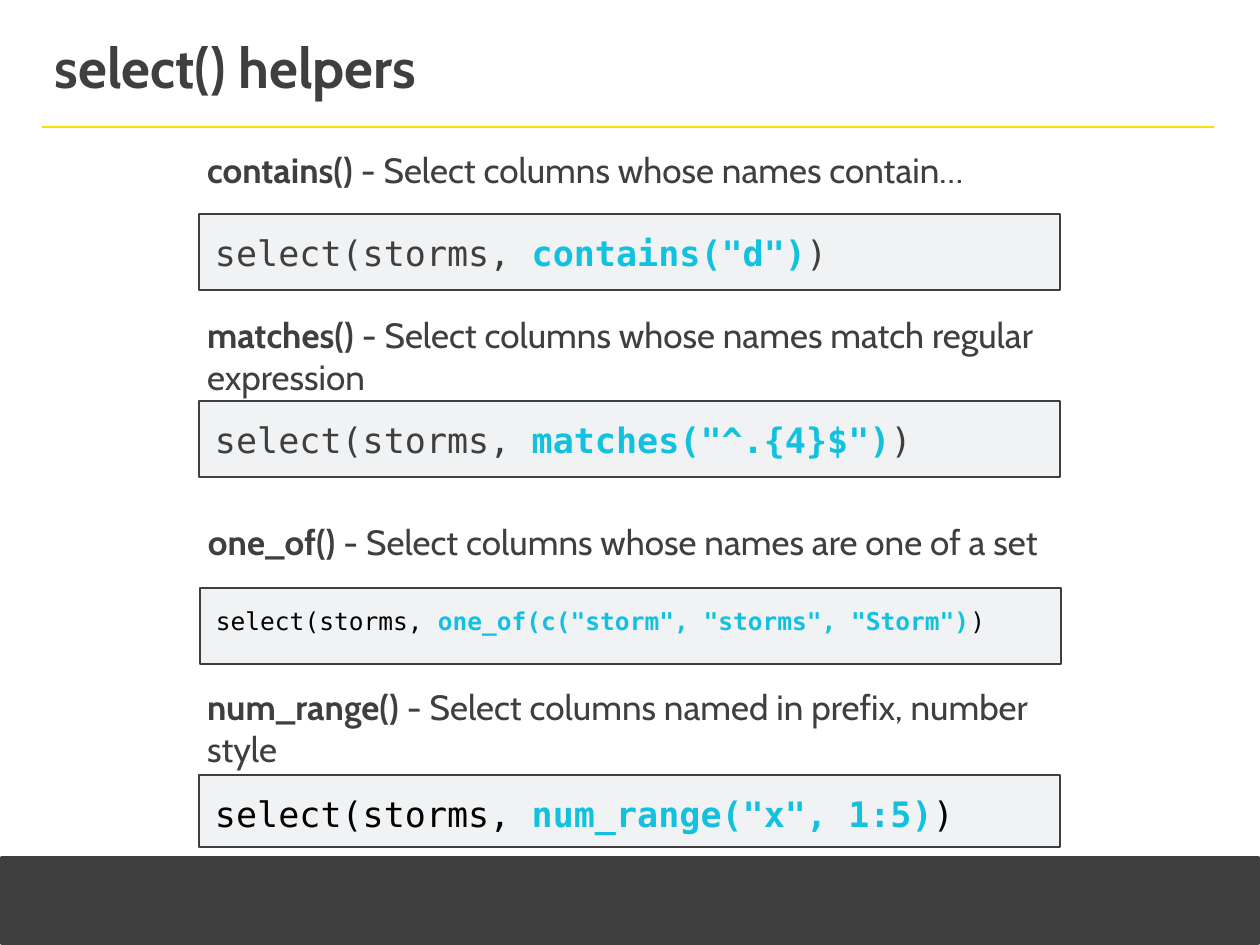
import dataclasses

import lxml.etree
import pptx
import pptx.dml.color
import pptx.enum.shapes
import pptx.enum.text
import pptx.oxml.ns
import pptx.util

RGB = pptx.dml.color.RGBColor
ANCHOR = pptx.enum.text.MSO_ANCHOR

DARK = RGB(0x3F, 0x3F, 0x3F)
PALE = RGB(0xF0, 0xF2, 0xF4)
CYAN = RGB(0x12, 0xC1, 0xDF)
GOLD = RGB(0xFF, 0xDD, 0x00)
WHITE = RGB(0xFF, 0xFF, 0xFF)
BLACK = RGB(0x00, 0x00, 0x00)

SANS, MONO = "Cabin", "DejaVu Sans Mono"
SCALE = 914400 / 126  # EMU in one px
INSET = 8
LEFT, WIDTH = 199, 861
TEXT_TOP, TEXT_STEP = 121, 186
BAR_TOP, BAR_STEP = 214, 187


@dataclasses.dataclass
class Run:
    text: str
    font: str
    size: int
    ink: RGB
    bold: bool = False


@dataclasses.dataclass
class Helper:
    name: str
    note: str
    call: str
    ink: RGB = DARK
    size: int = 20
    shift: int = 0
    height: int = 76


HELPERS = [
    Helper("contains()", " - Select columns whose names contain…", 'contains("d")'),
    Helper("matches()", " - Select columns whose names match regular expression",
           'matches("^.{4}$")'),
    Helper("one_of()", " - Select columns whose names are one of a set",
           'one_of(c("storm", "storms", "Storm")', BLACK, 14, shift=1),
    Helper("num_range()", " - Select columns named in prefix, number style",
           'num_range("x", 1:5)', BLACK, height=72),
]


def px(*nums: int) -> list[int]:
    return [pptx.util.Emu(round(num * SCALE)) for num in nums]


def style(item, form: dict) -> None:
    for key, value in form.items():
        setattr(item, key, value)


def write(frame, runs: list[Run]) -> None:
    para = frame.paragraphs[0]
    for part in runs:
        run = para.add_run()
        run.text = part.text
        style(run.font, {"name": part.font, "size": pptx.util.Pt(part.size),
                         "bold": part.bold})
        run.font.color.rgb = part.ink


def add_text(slide, box: tuple, runs: list[Run], anchor: ANCHOR) -> None:
    frame = slide.shapes.add_textbox(*px(*box)).text_frame
    sides = ("margin_left", "margin_top", "margin_right", "margin_bottom")
    style(frame, {"word_wrap": True, "vertical_anchor": anchor,
                  **dict.fromkeys(sides, px(INSET)[0])})
    write(frame, runs)


def add_bar(slide, box: tuple, fill: RGB, edge: RGB | None, width: int = 1) -> None:
    kind = pptx.enum.shapes.MSO_SHAPE.RECTANGLE
    bar = slide.shapes.add_shape(kind, *px(*box))
    bar.shadow.inherit = False
    bar.fill.solid()
    bar.fill.fore_color.rgb = fill
    if edge is None:
        bar.line.fill.background()
    else:
        bar.line.color.rgb = edge
        bar.line.width = pptx.util.Pt(width)


def add_rule(slide, ends: tuple, ink: RGB) -> None:
    kind = pptx.enum.shapes.MSO_CONNECTOR.STRAIGHT
    rule = slide.shapes.add_connector(kind, *px(*ends))
    rule.line.color.rgb = ink
    rule.line.width = pptx.util.Pt(1)
    props = rule._element.spPr
    lxml.etree.SubElement(props, pptx.oxml.ns.qn("a:effectLst"))


def add_helper(slide, row: int, item: Helper) -> None:
    left = LEFT + item.shift
    top = BAR_TOP + row * BAR_STEP
    add_text(slide, (left, TEXT_TOP + row * TEXT_STEP, WIDTH, 98),
             [Run(item.name, SANS, 20, DARK, True), Run(item.note, SANS, 20, DARK)],
             ANCHOR.MIDDLE)
    add_bar(slide, (left, top, WIDTH, item.height), PALE, DARK)
    add_text(slide, (left + 8, top + 10, 814, 62),
             [Run("select(storms, ", MONO, item.size, item.ink),
              Run(item.call, MONO, item.size, CYAN, True),
              Run(")", MONO, item.size, item.ink)],
             ANCHOR.TOP)


def add_title(slide, text: str) -> None:
    title = slide.shapes.title
    style(title, dict(zip(("left", "top", "width", "height"), px(42, 33, 1172, 67))))
    style(title.text_frame, {"vertical_anchor": ANCHOR.MIDDLE, "word_wrap": True,
                             "auto_size": pptx.enum.text.MSO_AUTO_SIZE.NONE})
    write(title.text_frame, [Run(text, SANS, 32, DARK, True)])
    title.text_frame.paragraphs[0].alignment = pptx.enum.text.PP_ALIGN.LEFT
    # Bring the title in front of the white panel
    slide.shapes._spTree.append(title._element)


def main() -> None:
    deck = pptx.Presentation()
    style(deck, dict(zip(("slide_width", "slide_height"), px(1260, 945))))
    slide = deck.slides.add_slide(deck.slide_layouts[5])

    # Footer band, page panel and title rule
    add_bar(slide, (2, 859, 1256, 83), DARK, DARK, 3)
    add_bar(slide, (0, 0, 1260, 849), WHITE, None)
    add_rule(slide, (42, 127, 1214, 127), GOLD)

    # Helper notes with their code
    for row, item in enumerate(HELPERS):
        add_helper(slide, row, item)

    add_title(slide, "select() helpers")
    deck.save("out.pptx")


if __name__ == "__main__":
    main()
